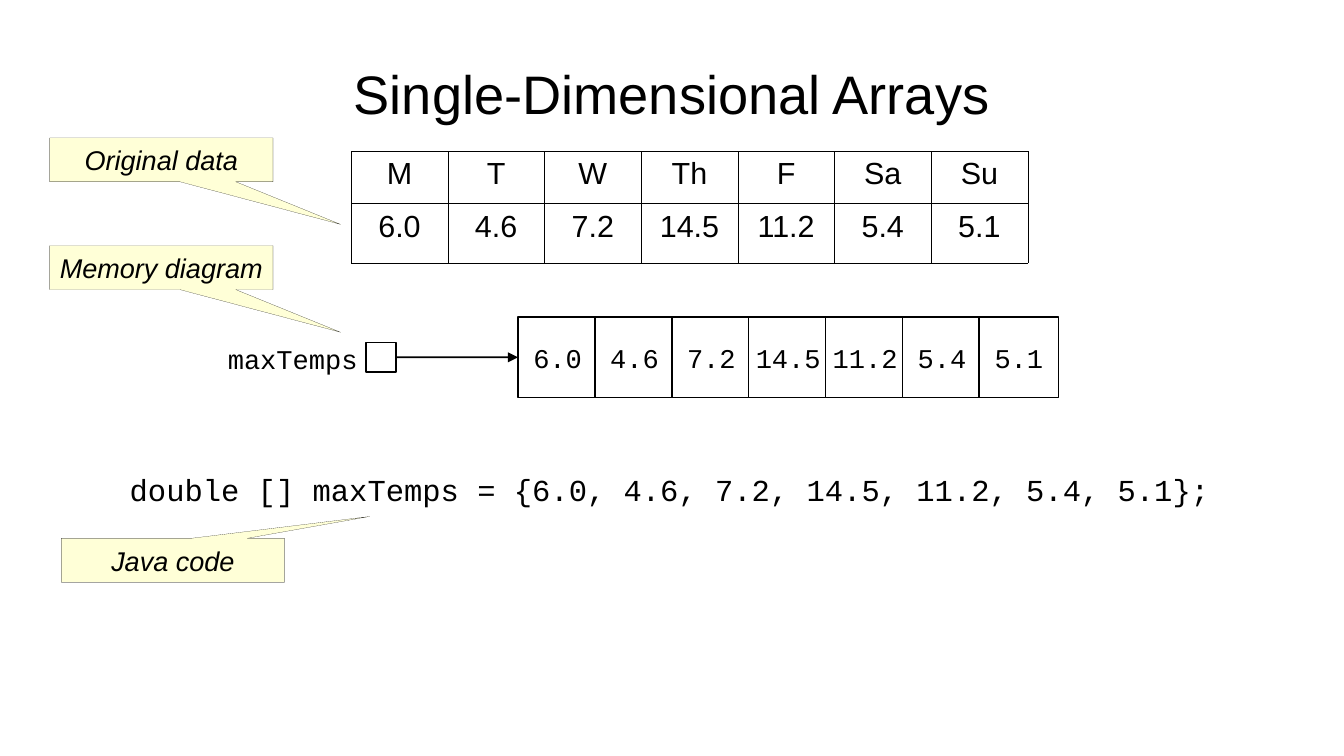
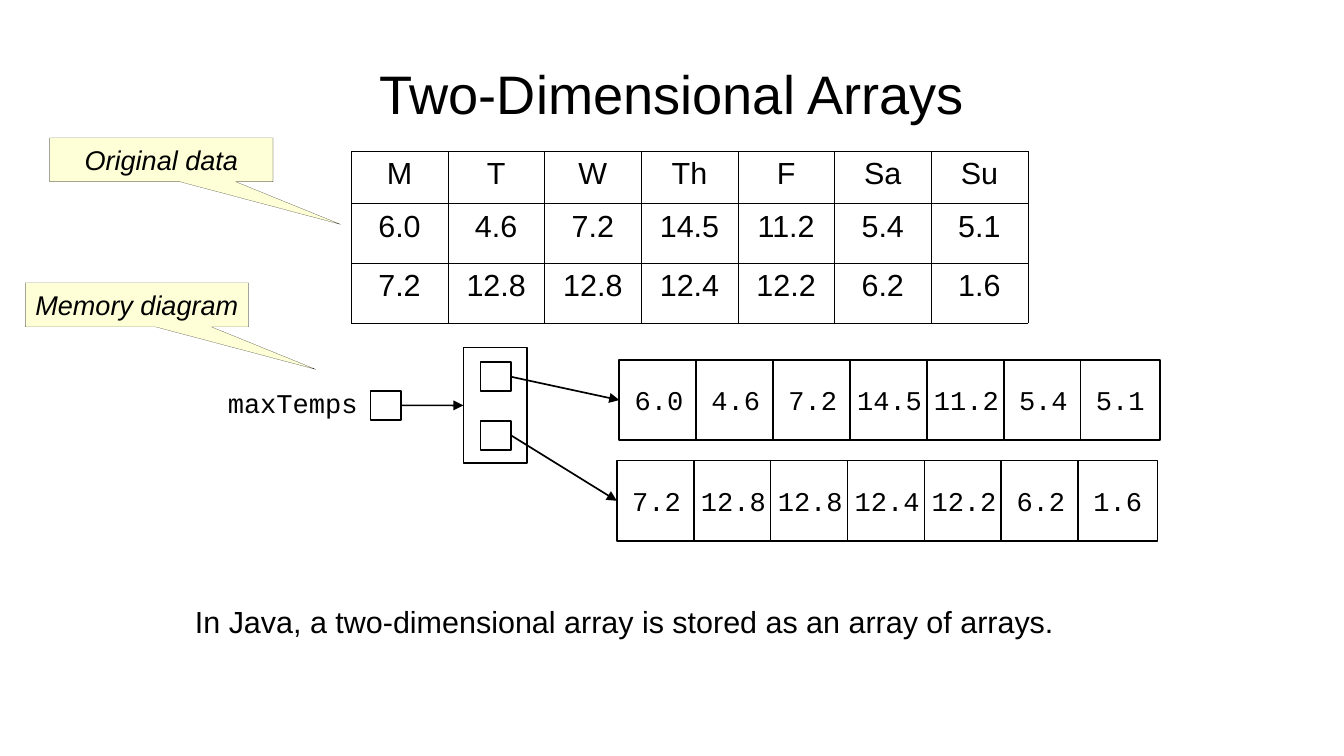
from dataclasses import dataclass

from lxml.etree import SubElement
from pptx import Presentation
from pptx.dml.color import RGBColor
from pptx.enum.shapes import MSO_CONNECTOR, MSO_SHAPE
from pptx.enum.text import MSO_ANCHOR, MSO_AUTO_SIZE, PP_ALIGN
from pptx.oxml.ns import qn
from pptx.shapes.autoshape import Shape
from pptx.slide import Slide
from pptx.text.text import TextFrame
from pptx.util import Emu, Inches, Pt

BLACK = RGBColor(0x00, 0x00, 0x00)
WHITE = RGBColor(0xFF, 0xFF, 0xFF)
CREAM = RGBColor(0xFF, 0xFF, 0xD7)
SANS = "Arial"
MONO = "Courier New"

WIDTH, HEIGHT = Inches(11.02), Inches(6.2)
GRID = 100
HAIRLINE = Emu(720)
OUTLINE = Pt(1)

CELL_W, CELL_H, CELL_PITCH = 5.9, 10.65, 5.72
POINTER_W, POINTER_H = 2.27, 3.87
HEAD_ROW, DATA_ROW = 6.9, 7.9
LEFT, RIGHT = 1, 3

DAYS = ["M", "T", "W", "Th", "F", "Sa", "Su"]
WEEK_1 = ["6.0", "4.6", "7.2", "14.5", "11.2", "5.4", "5.1"]
WEEK_2 = ["7.2", "12.8", "12.8", "12.4", "12.2", "6.2", "1.6"]


@dataclass(frozen=True)
class Area:
    col: float
    row: float
    cols: float
    rows: float

    def emu(self) -> tuple[Emu, Emu, Emu, Emu]:
        return (across(self.col), down(self.row), across(self.cols), down(self.rows))


@dataclass(frozen=True)
class Callout:
    text: str
    col: float
    row: float
    tip: tuple[float, float] = (0.803, 1.471)


@dataclass(frozen=True)
class Label:
    text: str
    area: Area
    font: str
    size: int


def across(cols: float) -> Emu:
    return Emu(round(WIDTH * cols / GRID))


def down(rows: float) -> Emu:
    return Emu(round(HEIGHT * rows / GRID))


def write(tf: TextFrame, text: str, font: str, size: int,
          align: PP_ALIGN = PP_ALIGN.CENTER, italic: bool = False) -> None:
    tf.text = text
    p = tf.paragraphs[0]
    p.alignment = align
    for r in p.runs:
        r.font.name = font
        r.font.size = Pt(size)
        r.font.italic = italic
        r.font.bold = False
        r.font.color.rgb = BLACK


def add_block(s: Slide, kind: MSO_SHAPE, area: Area, fill: RGBColor, line: Emu) -> Shape:
    sp = s.shapes.add_shape(kind, *area.emu())
    sp.shadow.inherit = False
    sp.fill.solid()
    sp.fill.fore_color.rgb = fill
    sp.line.color.rgb = BLACK
    sp.line.width = line
    sp.text_frame.word_wrap = False
    sp.text_frame.vertical_anchor = MSO_ANCHOR.MIDDLE
    return sp


def add_box(s: Slide, area: Area) -> Shape:
    return add_block(s, MSO_SHAPE.RECTANGLE, area, WHITE, OUTLINE)


def add_pointer(s: Slide, col: float, row: float) -> Shape:
    return add_box(s, Area(col, row, POINTER_W, POINTER_H))


def add_callout(s: Slide, callout: Callout) -> None:
    area = Area(callout.col, callout.row, 16.61, 5.81)
    sp = add_block(s, MSO_SHAPE.RECTANGULAR_CALLOUT, area, CREAM, HAIRLINE)
    for i, share in enumerate(callout.tip):
        sp.adjustments[i] = share
    write(sp.text_frame, callout.text, SANS, 16, italic=True)


def add_label(s: Slide, label: Label) -> None:
    tf = s.shapes.add_textbox(*label.area.emu()).text_frame
    tf.word_wrap = False
    tf.auto_size = MSO_AUTO_SIZE.NONE
    write(tf, label.text, label.font, label.size, PP_ALIGN.LEFT)


def add_array(s: Slide, col: float, row: float, values: list[str]) -> Shape:
    cells = []
    for i, value in enumerate(values):
        sp = add_box(s, Area(col + i * CELL_PITCH, row, CELL_W, CELL_H))
        write(sp.text_frame, value, MONO, 16)
        cells.append(sp)
    return cells[0]


def add_arrow(s: Slide, source: Shape, target: Shape) -> None:
    cn = s.shapes.add_connector(MSO_CONNECTOR.STRAIGHT, 0, 0, 0, 0)
    cn.begin_connect(source, RIGHT)
    cn.end_connect(target, LEFT)
    cn.line.color.rgb = BLACK
    cn.line.width = OUTLINE
    SubElement(cn.line._get_or_add_ln(), qn("a:tailEnd"), type="triangle")
    SubElement(cn._element.spPr, qn("a:effectLst"))


def add_data_table(s: Slide, rows: list[list[str]]) -> None:
    heights = [HEAD_ROW] + [DATA_ROW] * (len(rows) - 1)
    area = Area(26.13, 20, 50.36, sum(heights))
    table = s.shapes.add_table(len(rows), len(DAYS), *area.emu()).table
    table.first_row = table.horz_banding = False
    for i, values in enumerate(rows):
        table.rows[i].height = down(heights[i])
        for j, value in enumerate(values):
            cell = table.cell(i, j)
            tcPr = cell._tc.get_or_add_tcPr()
            for side in ("lnL", "lnR", "lnT", "lnB"):
                ln = SubElement(tcPr, qn(f"a:{side}"), w=str(HAIRLINE))
                fill = SubElement(ln, qn("a:solidFill"))
                SubElement(fill, qn("a:srgbClr"), val=str(BLACK))
            cell.fill.solid()
            cell.fill.fore_color.rgb = WHITE
            write(cell.text_frame, value, SANS, 18)


def add_slide(prs: Presentation, title: str, weeks: list[list[str]],
              callouts: list[Callout], labels: list[Label]) -> Slide:
    s = prs.slides.add_slide(prs.slide_layouts[5])
    sp = s.shapes.title
    sp.left, sp.top, sp.width, sp.height = Area(5, 3.95, 90, 16.77).emu()
    tf = sp.text_frame
    tf.auto_size = MSO_AUTO_SIZE.NONE
    tf.vertical_anchor = MSO_ANCHOR.MIDDLE
    write(tf, title, SANS, 32)
    add_data_table(s, [DAYS, *weeks])
    for callout in callouts:
        add_callout(s, callout)
    for label in labels:
        add_label(s, label)
    return s


def variable_label(row: float) -> Label:
    return Label("maxTemps", Area(16.06, row, 11.8, 5.65), MONO, 16)


def build_single(prs: Presentation) -> None:
    code = "double [] maxTemps = {6.0, 4.6, 7.2, 14.5, 11.2, 5.4, 5.1};"
    s = add_slide(
        prs, "Single-Dimensional Arrays", [WEEK_1],
        [Callout("Original data", 3.7, 18.23),
         Callout("Memory diagram", 3.7, 32.5),
         Callout("Java code", 4.56, 71.2, (0.881, -0.997))],
        [variable_label(44.52),
         Label(code, Area(8.76, 61.45, 82.67, 6.94), MONO, 18)])
    variable = add_pointer(s, 27.22, 45.32)
    add_arrow(s, variable, add_array(s, 38.54, 41.94, WEEK_1))


def build_double(prs: Presentation) -> None:
    note = "In Java, a two-dimensional array is stored as an array of arrays."
    s = add_slide(
        prs, "Two-Dimensional Arrays", [WEEK_1, WEEK_2],
        [Callout("Original data", 3.7, 18.23),
         Callout("Memory diagram", 1.88, 37.42)],
        [variable_label(50.32),
         Label(note, Area(13.61, 79.03, 67, 6.13), SANS, 18)])
    variable = add_pointer(s, 27.56, 51.69)
    outer = add_box(s, Area(34.48, 45.97, 4.72, 15.32))
    add_arrow(s, variable, outer)
    for pointer_row, col, row, week in ((47.9, 46.08, 47.6, WEEK_1),
                                        (55.65, 45.9, 60.92, WEEK_2)):
        pointer = add_pointer(s, 35.75, pointer_row)
        add_arrow(s, pointer, add_array(s, col, row, week))


def main() -> None:
    prs = Presentation()
    prs.slide_width, prs.slide_height = WIDTH, HEIGHT
    build_single(prs)
    build_double(prs)
    prs.save("out.pptx")


if __name__ == "__main__":
    main()
